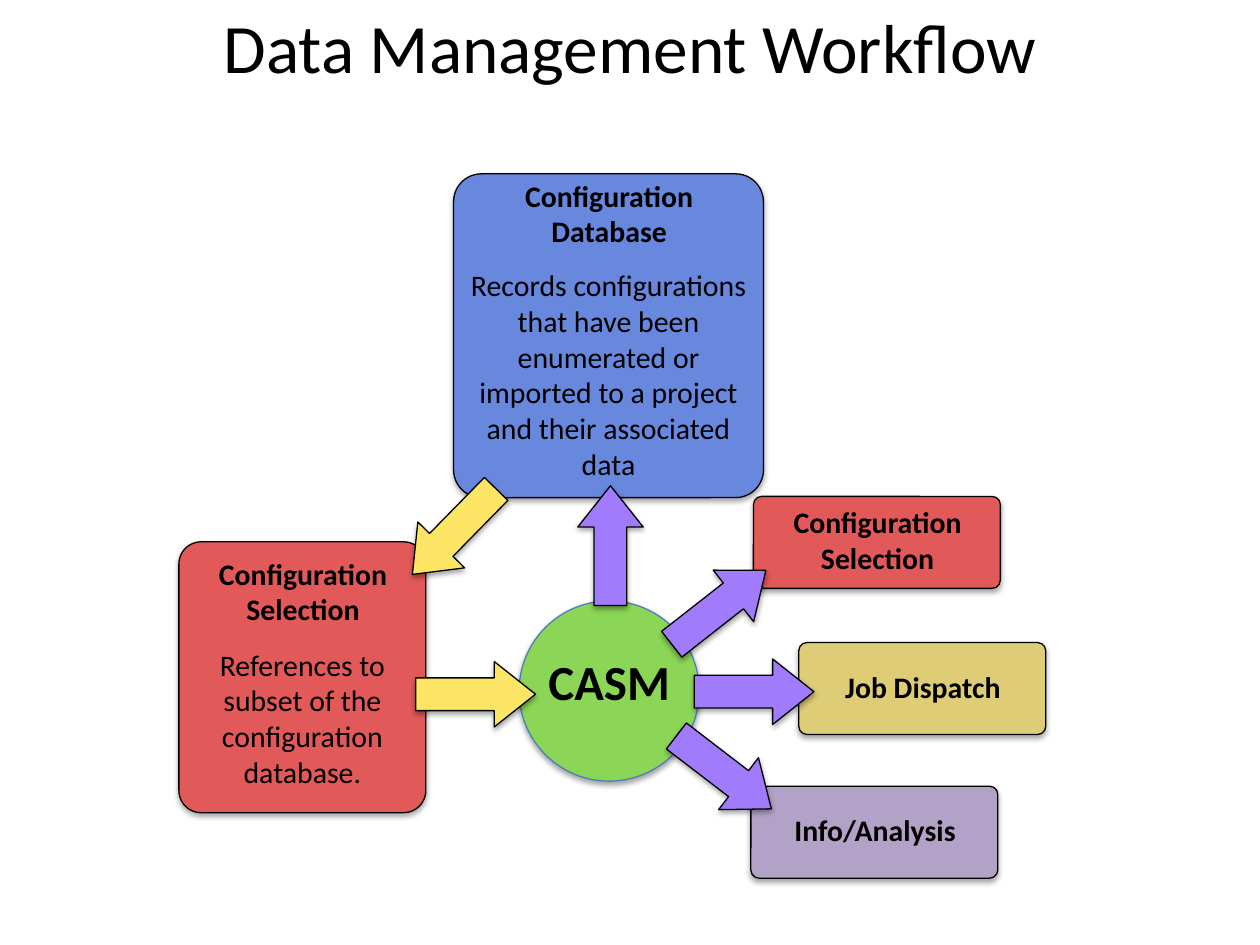
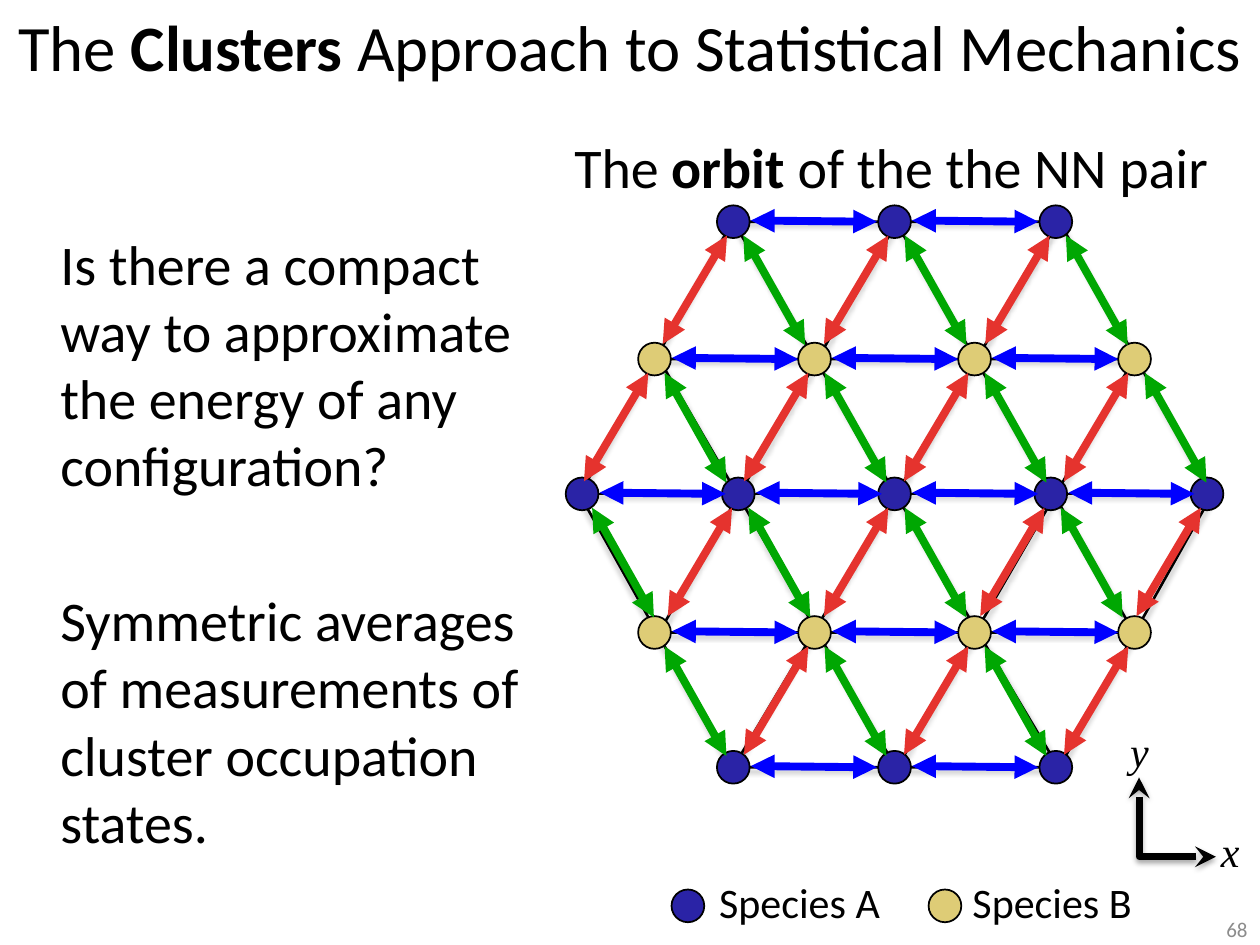
from dataclasses import dataclass
from typing import NamedTuple

from lxml import etree
from pptx import Presentation
from pptx.dml.color import RGBColor
from pptx.enum.shapes import MSO_CONNECTOR, MSO_SHAPE
from pptx.enum.text import MSO_ANCHOR, PP_ALIGN
from pptx.oxml.ns import qn
from pptx.util import Inches, Pt

LEFT, CENTER, RIGHT = PP_ALIGN.LEFT, PP_ALIGN.CENTER, PP_ALIGN.RIGHT
TOP, MIDDLE = MSO_ANCHOR.TOP, MSO_ANCHOR.MIDDLE
ELLIPSE, TRIANGLE = MSO_SHAPE.OVAL, MSO_SHAPE.ISOSCELES_TRIANGLE
HEXAGON, ROUNDED = MSO_SHAPE.HEXAGON, MSO_SHAPE.ROUNDED_RECTANGLE
ARROW = MSO_SHAPE.RIGHT_ARROW
STRAIGHT = MSO_CONNECTOR.STRAIGHT

COLORS = {
    "black": "000000", "grey": "8C8C8C", "circle_edge": "4B7EBC",
    "green": "8CD657", "blue": "6888DE", "red": "E25959", "sand": "DECC76",
    "mauve": "B3A2C7", "yellow": "FCE564", "purple": "A07BFC",
    "species_a": "2A23A6", "pair_red": "E5332E", "pair_blue": "0000FF",
    "pair_green": "00A702",
}


class Frame(NamedTuple):
    left: float
    top: float
    width: float
    height: float


class Span(NamedTuple):
    text: str
    bold: bool = False


@dataclass(frozen=True)
class TextStyle:
    size: float
    align: int = CENTER
    bold: bool = False
    italic: bool = False
    color: str = "black"
    anchor: int = TOP
    font: str = "Calibri"
    indent: float = 0
    gap: float = 0


@dataclass(frozen=True)
class Panel:
    frame: Frame
    fill: str
    caption: str
    caption_top: float
    caption_height: float = 0.67
    body: str = ""
    body_top: float = 0
    body_width: float = 0
    body_height: float = 0


class FlowArrow(NamedTuple):
    left: float
    top: float
    fill: str
    rotation: float = 0


@dataclass(frozen=True)
class PairFamily:
    color: str
    start: tuple[float, float]
    reach: tuple[float, float]


CAPTION = TextStyle(17, bold=True)
BODY = TextStyle(17)
HUB = TextStyle(28, bold=True)
STATEMENT = TextStyle(32, LEFT, indent=0.38, gap=50)
LEGEND = TextStyle(24, LEFT)
AXIS = TextStyle(24, LEFT, italic=True, font="Times New Roman")
PAGE_NUMBER = TextStyle(12, RIGHT, color="grey", anchor=MIDDLE)

PANELS = [
    Panel(Frame(5.96, 6.24, 1.96, 0.73), "mauve", "Info/Analysis", 6.39, 0.39),
    Panel(Frame(3.6, 1.38, 2.46, 2.57), "blue", "Configuration Database", 1.36,
          body="Records configurations that have been enumerated or imported "
               "to a project and their associated data",
          body_top=2.07, body_width=2.46, body_height=1.82),
    Panel(Frame(1.42, 4.3, 1.96, 2.15), "red", "Configuration Selection", 4.36,
          body="References to subset of the configuration database.",
          body_top=5.08, body_width=1.81, body_height=1.25),
    Panel(Frame(5.98, 3.94, 1.96, 0.73), "red", "Configuration Selection", 3.95),
    Panel(Frame(6.34, 5.1, 1.96, 0.73), "sand", "Job Dispatch", 5.26, 0.39),
]
FLOW_ARROWS = [
    FlowArrow(3.3, 5.25, "yellow"),
    FlowArrow(3.13, 3.96, "yellow", 134.4),
    FlowArrow(5.23, 4.56, "purple", 321.9),
    FlowArrow(4.37, 4.07, "purple", 270),
    FlowArrow(5.51, 5.23, "purple"),
    FlowArrow(5.27, 5.87, "purple", 37.5),
]

LATTICE_CENTER = 7.1
ATOM_SIZE = 0.26
ROW_HEIGHTS = [1.76, 2.85, 3.92, 5.02, 6.09]
ROW_COUNTS = [3, 4, 5, 4, 3]
ROW_PITCH = {3: 1.28, 4: 1.27, 5: 1.24}
RED_PAIRS = PairFamily("pair_red", (-0.05, 0.11), (-0.51, 0.86))
BLUE_PAIRS = PairFamily("pair_blue", (0.14, -0.01), (1, 0.01))
GREEN_PAIRS = PairFamily("pair_green", (0.08, 0.11), (0.49, 0.87))


def color_of(name: str) -> RGBColor:
    return RGBColor.from_string(COLORS[name])


def inches(frame: Frame) -> list:
    return [Inches(length) for length in frame]


def add_text(page, frame: Frame, paragraphs: list, style: TextStyle) -> None:
    text_frame = page.shapes.add_textbox(*inches(frame)).text_frame
    text_frame.word_wrap = True
    text_frame.vertical_anchor = style.anchor
    for index, spans in enumerate(paragraphs):
        para = text_frame.add_paragraph() if index else text_frame.paragraphs[0]
        para.alignment = style.align
        if style.indent:
            properties = para._p.get_or_add_pPr()
            properties.set("marL", str(Inches(style.indent)))
            properties.set("indent", "0")
        if index:
            para.space_before = Pt(style.gap)
        para.font.name = style.font
        para.font.size = Pt(style.size)
        para.font.bold = style.bold
        para.font.italic = style.italic
        para.font.color.rgb = color_of(style.color)
        for span in spans:
            run = para.add_run()
            run.text = span.text
            if span.bold:
                run.font.bold = True


def add_title(page, frame: Frame, spans: list, size: float) -> None:
    add_text(page, frame, [spans], TextStyle(size, anchor=MIDDLE))


def add_figure(page, kind: int, frame: Frame, fill: str = "", edge: str = "black",
               width: float = 0.75, shadow: bool = True):
    shape = page.shapes.add_shape(kind, *inches(frame))
    if fill:
        shape.fill.solid()
        shape.fill.fore_color.rgb = color_of(fill)
    else:
        shape.fill.background()
    shape.line.color.rgb = color_of(edge)
    shape.line.width = Pt(width)
    if not shadow:
        shape.shadow.inherit = False
    return shape


def add_heads(shape, kind: str) -> None:
    line = shape._element.spPr.find(qn("a:ln"))
    for end in ("a:headEnd", "a:tailEnd"):
        etree.SubElement(line, qn(end)).set("type", kind)


def add_line(page, start: tuple[float, float], end: tuple[float, float],
             color: str, width: float):
    line = page.shapes.add_connector(STRAIGHT, *map(Inches, (*start, *end)))
    line.line.color.rgb = color_of(color)
    line.line.width = Pt(width)
    return line


def add_panel(page, panel: Panel) -> None:
    box = add_figure(page, ROUNDED, panel.frame, panel.fill)
    box.adjustments[0] = 0.09
    middle = panel.frame.left + panel.frame.width / 2
    add_text(page, Frame(middle - 0.87, panel.caption_top, 1.75, panel.caption_height),
             [[Span(panel.caption)]], CAPTION)
    if panel.body:
        add_text(page, Frame(middle - panel.body_width / 2, panel.body_top,
                             panel.body_width, panel.body_height),
                 [[Span(panel.body)]], BODY)


def add_flow_arrow(page, arrow: FlowArrow) -> None:
    shape = add_figure(page, ARROW, Frame(arrow.left, arrow.top, 0.95, 0.52), arrow.fill)
    shape.adjustments[0] = 0.5
    shape.adjustments[1] = 0.63
    shape.rotation = arrow.rotation


def add_atom(page, x: float, y: float, species: str) -> None:
    frame = Frame(x - ATOM_SIZE / 2, y - ATOM_SIZE / 2, ATOM_SIZE, ATOM_SIZE)
    add_figure(page, ELLIPSE, frame, species, width=1, shadow=False)


def lattice_rows() -> list:
    return [[(LATTICE_CENTER + (column - (count - 1) / 2) * ROW_PITCH[count], y)
             for column in range(count)]
            for count, y in zip(ROW_COUNTS, ROW_HEIGHTS)]


def add_pairs(page, family: PairFamily, atoms: list) -> None:
    for x, y in atoms:
        start = (x + family.start[0], y + family.start[1])
        end = (start[0] + family.reach[0], start[1] + family.reach[1])
        pair = add_line(page, start, end, family.color, 4.5)
        etree.SubElement(pair._element.spPr, qn("a:effectLst"))
        add_heads(pair, "triangle")


def add_bonds(page) -> None:
    for start, end in [((5.82, 1.76), (8.4, 6.09)), ((8.4, 1.76), (5.82, 6.09)),
                       ((4.6, 3.92), (9.62, 3.92))]:
        add_line(page, start, end, "black", 1.5)
    outline = add_figure(page, HEXAGON, Frame(4.6, 1.76, 5.02, 4.33), width=1.5)
    outline.adjustments[0] = 0.28
    for top, rotation in ((1.77, 0), (2.85, 180)):
        triangle = add_figure(page, TRIANGLE, Frame(5.23, top, 3.77, 3.25), width=1.5)
        triangle.rotation = rotation


def add_lattice(page) -> None:
    add_bonds(page)
    rows = lattice_rows()
    for index, row in enumerate(rows):
        for x, y in row:
            add_atom(page, x, y, "sand" if index % 2 else "species_a")
    upper, lower = rows[0] + rows[1], rows[2:4]
    add_pairs(page, RED_PAIRS, upper + [atom for row in lower for atom in row[1:]])
    add_pairs(page, BLUE_PAIRS, [atom for row in rows for atom in row[:-1]])
    add_pairs(page, GREEN_PAIRS, upper + [atom for row in lower for atom in row[:-1]])


def add_axes(page) -> None:
    builder = page.shapes.build_freeform(Inches(9.04), Inches(6.17))
    builder.add_line_segments([(Inches(9.04), Inches(6.8)), (Inches(9.65), Inches(6.8))],
                              close=False)
    axes = builder.convert_to_shape()
    axes.fill.background()
    axes.line.color.rgb = color_of("black")
    axes.line.width = Pt(4)
    add_heads(axes, "stealth")
    for letter, left, top in (("x", 9.59, 6.5), ("y", 8.87, 5.71)):
        add_text(page, Frame(left, top, 0.29, 0.5), [[Span(letter)]], AXIS)


def build_workflow(page) -> None:
    add_title(page, Frame(0.5, 0.02, 9, 0.69), [Span("Data Management Workflow")], 39.6)
    add_figure(page, ELLIPSE, Frame(4.12, 4.77, 1.43, 1.43), "green", "circle_edge")
    for panel in PANELS:
        add_panel(page, panel)
    for arrow in FLOW_ARROWS:
        add_flow_arrow(page, arrow)
    add_text(page, Frame(3.96, 5.12, 1.75, 0.63), [[Span("CASM")]], HUB)


def build_clusters(page) -> None:
    add_title(page, Frame(0, 0.02, 10, 0.69),
              [Span("The "), Span("Clusters", True),
               Span(" Approach to Statistical Mechanics")], 37)
    add_lattice(page)
    for label, left, atom_x, species in (("Species A", 5.61, 5.46, "species_a"),
                                         ("Species B", 7.62, 7.5, "sand")):
        add_text(page, Frame(left, 6.91, 1.93, 0.5), [[Span(label)]], LEGEND)
        add_atom(page, atom_x, 7.19, species)
    add_axes(page)
    add_text(page, Frame(4.08, 1, 5.67, 1.04),
             [[Span("The "), Span("orbit", True), Span(" of the the NN pair")]], STATEMENT)
    add_text(page, Frame(0, 1.77, 4.25, 5.48),
             [[Span("Is there a compact way to approximate the energy of any "
                    "configuration?")],
              [Span("Symmetric averages of measurements of cluster occupation "
                    "states.")]], STATEMENT)
    add_text(page, Frame(7.92, 7.25, 2.08, 0.25), [[Span("68")]], PAGE_NUMBER)


def main() -> None:
    deck = Presentation()
    deck.slide_width, deck.slide_height = Inches(10), Inches(7.5)
    for build in (build_workflow, build_clusters):
        build(deck.slides.add_slide(deck.slide_layouts[6]))
    deck.save("out.pptx")


if __name__ == "__main__":
    main()
